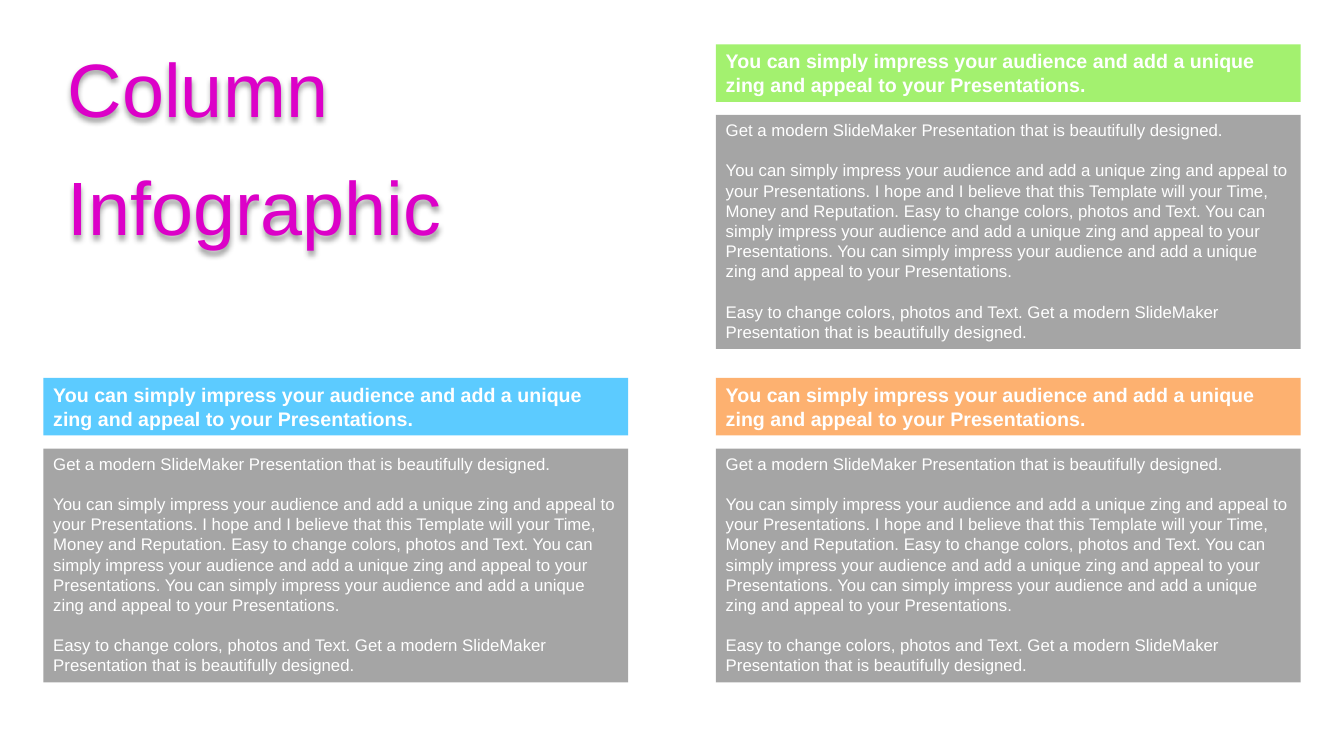
from lxml.etree import SubElement
from pptx import Presentation
from pptx.dml.color import RGBColor
from pptx.enum.shapes import MSO_SHAPE as Shape
from pptx.enum.text import MSO_ANCHOR as Anchor, MSO_AUTO_SIZE as Fit, PP_ALIGN as Align
from pptx.oxml import parse_xml
from pptx.oxml.ns import nsdecls, qn
from pptx.util import Inches, Pt

TITLE = ["Column", "Infographic"]
HEAD = ["You can simply impress your audience and add a unique zing and appeal to your Presentations."]
BODY = [
    "Get a modern SlideMaker Presentation that is beautifully designed.",
    "You can simply impress your audience and add a unique zing and appeal to your Presentations. "
    "I hope and I believe that this Template will your Time, Money and Reputation. "
    "Easy to change colors, photos and Text. "
    "You can simply impress your audience and add a unique zing and appeal to your Presentations. "
    "You can simply impress your audience and add a unique zing and appeal to your Presentations.",
    "Easy to change colors, photos and Text. "
    "Get a modern SlideMaker Presentation that is beautifully designed.",
]
CARDS = [(7.1, 0.44, "7CEC32"), (7.1, 3.75, "FD9034"), (0.43, 3.75, "17B6FF")]
GRAY, WHITE, PINK = "808080", "FFFFFF", "DC00C8"
WIDTH, HEAD_H, BODY_H, STEP = 5.8, 0.57, 2.32, 0.7
SHADOW = (
    f'<a:effectLst {nsdecls("a")}><a:outerShdw blurRad="50800" dist="38100" dir="5400000" '
    'algn="t" rotWithShape="0"><a:srgbClr val="000000"><a:alpha val="40000"/></a:srgbClr>'
    '</a:outerShdw></a:effectLst>'
)


def color(code):
    return RGBColor.from_string(code)


def write(frame, lines, size, code, bold=False, gap=0, lead=1.0):
    frame.word_wrap = True
    frame.text = "\n".join(lines)
    for i, para in enumerate(frame.paragraphs):
        para.alignment = Align.LEFT
        para.line_spacing = lead
        para.space_before = Pt(gap if i else 0)
        font = para.font
        font.name, font.size, font.bold = "Arial", Pt(size), bold
        font.color.rgb = color(code)


def panel(left, top, height, code, lines, size, bold=False, gap=0):
    box = slide.shapes.add_shape(
        Shape.RECTANGLE, Inches(left), Inches(top), Inches(WIDTH), Inches(height))
    box.shadow.inherit = False
    box.line.fill.background()
    box.fill.solid()
    box.fill.fore_color.rgb = color(code)
    tint = box.fill._xPr.find(qn("a:solidFill"))[0]
    SubElement(tint, qn("a:alpha")).set("val", "70000")
    frame = box.text_frame
    write(frame, lines, size, WHITE, bold, gap)
    frame.vertical_anchor = Anchor.TOP
    frame.auto_size = Fit.SHAPE_TO_FIT_TEXT


deck = Presentation()
deck.slide_width, deck.slide_height = Inches(13.33), Inches(7.5)
slide = deck.slides.add_slide(deck.slide_layouts[5])

title = slide.shapes.title
title.left, title.top = Inches(0.57), Inches(0.38)
title.width, title.height = Inches(4.14), Inches(2.05)
title.fill.background()
title.element.spPr.append(parse_xml(SHADOW))
write(title.text_frame, TITLE, 54, PINK, gap=13, lead=1.1)
title.text_frame.vertical_anchor = Anchor.MIDDLE
title.text_frame.auto_size = Fit.NONE

for left, top, code in CARDS:
    panel(left, top, HEAD_H, code, HEAD, 14, bold=True)
    panel(left, top + STEP, BODY_H, GRAY, BODY, 12, gap=14.4)

deck.save("out.pptx")
